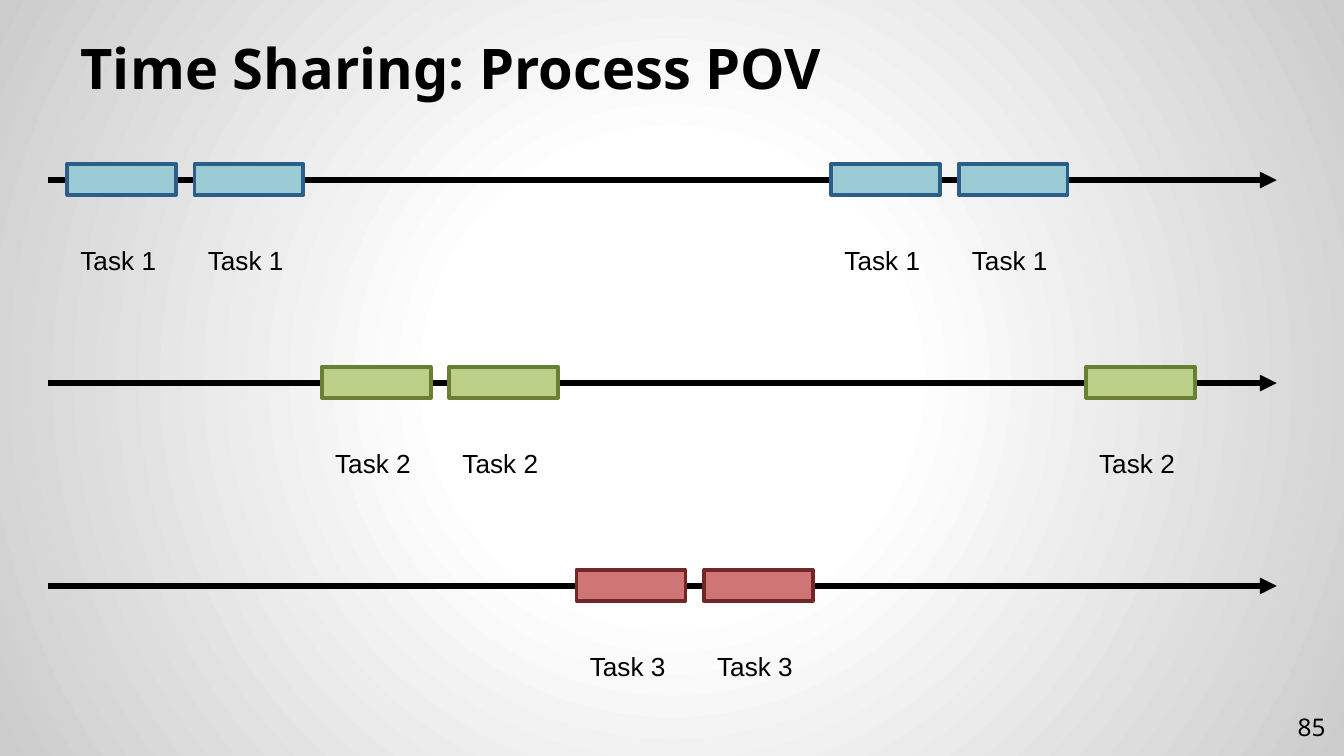
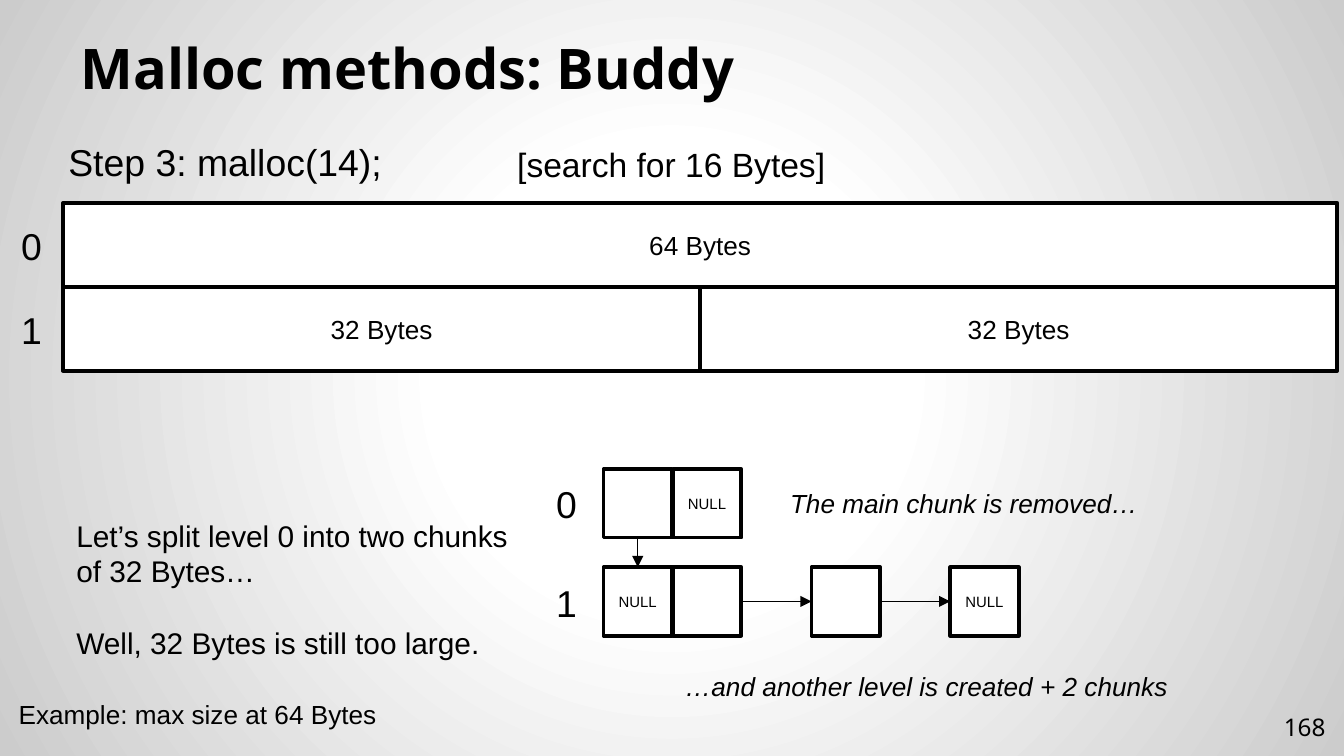
from dataclasses import dataclass
from typing import Optional

import pptx
import pptx.dml.color
import pptx.enum.shapes
import pptx.enum.text
import pptx.oxml
import pptx.oxml.ns
import pptx.presentation
import pptx.shapes.autoshape
import pptx.shapes.connector
import pptx.slide
import pptx.text.text
import pptx.util
from pptx.dml.color import RGBColor
from pptx.enum.text import MSO_ANCHOR, MSO_AUTO_SIZE, PP_ALIGN
from pptx.util import Inches

BLACK = RGBColor(0x00, 0x00, 0x00)
WHITE = RGBColor(0xFF, 0xFF, 0xFF)
EDGE_GREY = RGBColor(0xCC, 0xCC, 0xCC)
BLUE = RGBColor(0x9A, 0xCA, 0xD3)
DARK_BLUE = RGBColor(0x2B, 0x5F, 0x8A)
GREEN = RGBColor(0xBB, 0xD1, 0x89)
DARK_GREEN = RGBColor(0x68, 0x80, 0x31)
RED = RGBColor(0xD0, 0x75, 0x76)
DARK_RED = RGBColor(0x71, 0x26, 0x27)

TITLE_FONT = "Noto Sans"
BODY_FONT = "Arial"

SLIDE_W = 10
SLIDE_H = SLIDE_W * 9 / 16

AXIS_LEFT, AXIS_RIGHT = 0.36, 9.5
AXIS_TOP, AXIS_PITCH = 1.34, 1.51
SLOT_LEFT, SLOT_PITCH = 0.5, 7.58 / 8
SLOT_W, SLOT_H = 0.81, 0.23

MEMORY_LEFT, MEMORY_TOP, MEMORY_W, MEMORY_ROW = 0.47, 1.51, 9.48, 5 / 8
CELL_LEFT, CELL_PITCH, CELL = 4.49, 2.58 / 5, 0.51
LEVEL_TOP, LEVEL_PITCH = 3.49, 0.73
LABEL_W, LABEL_H = 0.47, 0.44


@dataclass
class TaskRow:
    label: str
    fill: RGBColor
    line: RGBColor
    slots: tuple[int, ...]


@dataclass
class Cell:
    level: int
    column: int
    text: str = ""


@dataclass
class Label:
    text: str
    left: float
    top: float
    width: float
    height: float
    size: int = 14
    italic: bool = False
    align: Optional[PP_ALIGN] = None
    anchor: MSO_ANCHOR = MSO_ANCHOR.TOP


TASK_ROWS = (
    TaskRow("Task 1", BLUE, DARK_BLUE, (0, 1, 6, 7)),
    TaskRow("Task 2", GREEN, DARK_GREEN, (2, 3, 8)),
    TaskRow("Task 3", RED, DARK_RED, (4, 5)),
)

CELLS = (
    Cell(0, 0), Cell(0, 1, "NULL"),
    Cell(1, 0, "NULL"), Cell(1, 1), Cell(1, 3), Cell(1, 5, "NULL"),
)
CELL_LINKS = (
    ((0, 0), 2, (1, 0), 0),
    ((1, 1), 3, (1, 3), 1),
    ((1, 3), 3, (1, 5), 1),
)

BUDDY_LABELS = (
    Label("Step 3: malloc(14);", 0.41, 0.99, 3.92, 0.44, 20),
    Label("[search for 16 Bytes]", 3.75, 1.02, 6.02, 0.4, 18),
    Label("Let’s split level 0 into two chunks of 32 Bytes…\n"
          "Well, 32 Bytes is still too large.", 0.47, 3.8, 3.47, 1.18, 16),
    Label("Example: max size at 64 Bytes", 0.04, 5.15, 3.67, 0.34),
    Label("The main chunk is removed…", 5.78, 3.58, 3.02, 0.34, italic=True),
    Label("…and another level is created + 2 chunks", 5, 4.94, 3.79, 0.34, italic=True),
)


def set_background(master: pptx.slide.SlideMaster) -> None:
    stops = "".join(
        f'<a:gs pos="{pos * 1000}"><a:srgbClr val="{color}"/></a:gs>'
        for pos, color in ((0, WHITE), (30, WHITE), (100, EDGE_GREY)))
    bg = pptx.oxml.parse_xml(
        f'<p:bg {pptx.oxml.ns.nsdecls("p", "a")}><p:bgPr><a:gradFill>'
        f'<a:gsLst>{stops}</a:gsLst><a:path path="circle">'
        '<a:fillToRect l="50000" t="50000" r="50000" b="50000"/></a:path>'
        '</a:gradFill><a:effectLst/></p:bgPr></p:bg>')
    c_sld = master.element.find(pptx.oxml.ns.qn("p:cSld"))
    old = c_sld.find(pptx.oxml.ns.qn("p:bg"))
    if old is not None:
        c_sld.remove(old)
    c_sld.insert(0, bg)


def format_text(tf: pptx.text.text.TextFrame, size: int, font: str = BODY_FONT,
                bold: bool = False, italic: bool = False,
                align: Optional[PP_ALIGN] = None) -> None:
    tf.word_wrap = True
    for p in tf.paragraphs:
        p.alignment = align
        for r in p.runs:
            r.font.name = font
            r.font.size = pptx.util.Pt(size)
            r.font.bold = bold
            r.font.italic = italic
            r.font.color.rgb = BLACK


def set_margins(tf: pptx.text.text.TextFrame) -> None:
    tf.margin_left = tf.margin_right = Inches(0.1)
    tf.margin_top = tf.margin_bottom = Inches(0.1)


def add_label(s: pptx.slide.Slide, label: Label) -> None:
    sp = s.shapes.add_textbox(Inches(label.left), Inches(label.top),
                              Inches(label.width), Inches(label.height))
    tf = sp.text_frame
    tf.text = label.text
    tf.vertical_anchor = label.anchor
    tf.auto_size = MSO_AUTO_SIZE.SHAPE_TO_FIT_TEXT
    format_text(tf, label.size, italic=label.italic, align=label.align)
    for p in tf.paragraphs[1:]:
        p.space_before = pptx.util.Pt(label.size * 1.2)


def add_level_label(s: pptx.slide.Slide, level: int, left: float, top: float) -> None:
    add_label(s, Label(str(level), left, top, LABEL_W, LABEL_H, 20,
                       align=PP_ALIGN.CENTER, anchor=MSO_ANCHOR.MIDDLE))


def add_box(s: pptx.slide.Slide, left: float, top: float, width: float, height: float,
            fill: RGBColor = WHITE, line: RGBColor = BLACK,
            text: str = "", size: int = 14) -> pptx.shapes.autoshape.Shape:
    sp = s.shapes.add_shape(pptx.enum.shapes.MSO_SHAPE.RECTANGLE, Inches(left),
                            Inches(top), Inches(width), Inches(height))
    sp.shadow.inherit = False
    sp.fill.solid()
    sp.fill.fore_color.rgb = fill
    sp.line.color.rgb = line
    sp.line.width = pptx.util.Pt(2)
    if text:
        sp.text_frame.text = text
        sp.text_frame.vertical_anchor = MSO_ANCHOR.MIDDLE
        format_text(sp.text_frame, size, align=PP_ALIGN.CENTER)
    return sp


def add_arrow(s: pptx.slide.Slide, x1: float, y1: float, x2: float, y2: float,
              weight: float) -> pptx.shapes.connector.Connector:
    cxn = s.shapes.add_connector(pptx.enum.shapes.MSO_CONNECTOR.STRAIGHT,
                                 Inches(x1), Inches(y1), Inches(x2), Inches(y2))
    cxn.line.color.rgb = BLACK
    cxn.line.width = pptx.util.Pt(weight)
    ns = pptx.oxml.ns.nsdecls("a")
    sp_pr = cxn.element.find(pptx.oxml.ns.qn("p:spPr"))
    sp_pr.find(pptx.oxml.ns.qn("a:ln")).append(
        pptx.oxml.parse_xml(f'<a:tailEnd {ns} type="triangle"/>'))
    sp_pr.append(pptx.oxml.parse_xml(f"<a:effectLst {ns}/>"))
    return cxn


def add_slide(prs: pptx.presentation.Presentation, title: str,
              number: int) -> pptx.slide.Slide:
    s = prs.slides.add_slide(prs.slide_layouts[5])
    sp = s.shapes.title
    sp.left, sp.top = Inches(0.5), Inches(0.23)
    sp.width, sp.height = Inches(9), Inches(0.62)
    tf = sp.text_frame
    tf.text = title
    tf.vertical_anchor = MSO_ANCHOR.BOTTOM
    tf.auto_size = MSO_AUTO_SIZE.NONE
    set_margins(tf)
    format_text(tf, 30, TITLE_FONT, bold=True, align=PP_ALIGN.LEFT)

    sp = s.shapes.add_textbox(Inches(9.36), Inches(5.19), Inches(0.6), Inches(0.43))
    tf = sp.text_frame
    tf.text = str(number)
    tf.vertical_anchor = MSO_ANCHOR.MIDDLE
    set_margins(tf)
    format_text(tf, 13, TITLE_FONT, align=PP_ALIGN.RIGHT)
    return s


def build_time_sharing(prs: pptx.presentation.Presentation) -> None:
    s = add_slide(prs, "Time Sharing: Process POV", 85)
    for i, row in enumerate(TASK_ROWS):
        y = AXIS_TOP + i * AXIS_PITCH
        add_arrow(s, AXIS_LEFT, y, AXIS_RIGHT, y, 3)
        for slot in row.slots:
            x = SLOT_LEFT + slot * SLOT_PITCH
            add_box(s, x, y - 0.12, SLOT_W, SLOT_H, row.fill, row.line)
            add_label(s, Label(row.label, x, y + 0.43, SLOT_W, 0.34))


def build_buddy(prs: pptx.presentation.Presentation) -> None:
    s = add_slide(prs, "Malloc methods: Buddy", 168)
    for level in range(2):
        top = MEMORY_TOP + level * MEMORY_ROW
        count = 2 ** level
        width = MEMORY_W / count
        for i in range(count):
            add_box(s, MEMORY_LEFT + i * width, top, width, MEMORY_ROW,
                    text=f"{64 // count} Bytes")
        add_level_label(s, level, 0, top + 0.1)
        add_level_label(s, level, 3.98, LEVEL_TOP + level * LEVEL_PITCH + 0.04)

    boxes = {}
    for cell in CELLS:
        boxes[cell.level, cell.column] = add_box(
            s, CELL_LEFT + cell.column * CELL_PITCH,
            LEVEL_TOP + cell.level * LEVEL_PITCH, CELL, CELL, text=cell.text, size=8)
    for start, start_side, end, end_side in CELL_LINKS:
        cxn = add_arrow(s, 0, 0, 1, 1, 0.75)
        cxn.begin_connect(boxes[start], start_side)
        cxn.end_connect(boxes[end], end_side)

    for label in BUDDY_LABELS:
        add_label(s, label)


def main() -> None:
    prs = pptx.Presentation()
    prs.slide_width, prs.slide_height = Inches(SLIDE_W), Inches(SLIDE_H)
    set_background(prs.slide_master)
    build_time_sharing(prs)
    build_buddy(prs)
    prs.save("out.pptx")


if __name__ == "__main__":
    main()
